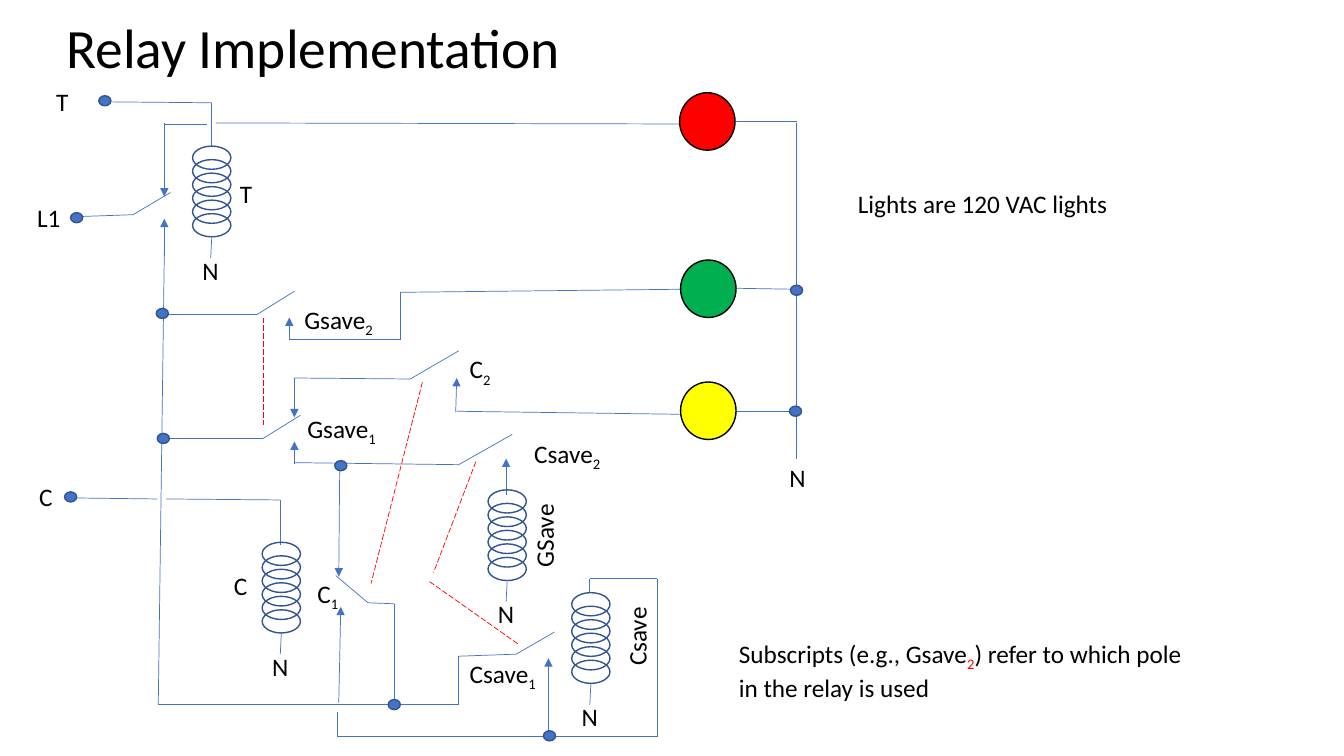
from dataclasses import dataclass

from lxml import etree
from pptx import Presentation
from pptx.dml.color import RGBColor
from pptx.enum.dml import MSO_LINE
from pptx.enum.shapes import MSO_CONNECTOR, MSO_SHAPE
from pptx.enum.text import MSO_ANCHOR, MSO_AUTO_SIZE
from pptx.oxml.ns import qn
from pptx.util import Inches, Pt

STRAIGHT = MSO_CONNECTOR.STRAIGHT
OVAL = MSO_SHAPE.OVAL
LONG_DASH = MSO_LINE.LONG_DASH
MIDDLE = MSO_ANCHOR.MIDDLE
FIT_SHAPE = MSO_AUTO_SIZE.SHAPE_TO_FIT_TEXT


@dataclass(frozen=True)
class Theme:
    font: str = "Calibri"
    title_size: float = 39.6
    label_size: float = 18
    wire_width: float = 0.5
    outline_width: float = 1
    black: str = "000000"
    wire: str = "4472C4"
    outline: str = "325491"
    red: str = "FF0000"
    yellow: str = "FFFF00"
    green: str = "00B050"


theme = Theme()
CELL = Inches(1)  # one column or row of the drawing grid

deck = Presentation()
deck.slide_width = Inches(13.33)
deck.slide_height = Inches(7.5)
page = deck.slides.add_slide(deck.slide_layouts[6])


def add_wire(points, color=theme.wire, arrow=False, dashed=False):
    """Join the points with straight lines; an arrow sits at the last point."""
    for start, end in zip(points, points[1:]):
        ends = [int(value * CELL) for value in (*start, *end)]
        wire = page.shapes.add_connector(STRAIGHT, *ends)
        wire.line.color.rgb = RGBColor.from_string(color)
        wire.line.width = Pt(theme.wire_width)
        if dashed:
            wire.line.dash_style = LONG_DASH
        if arrow and end == points[-1]:
            tail = etree.SubElement(wire.line._get_or_add_ln(), qn("a:tailEnd"))
            tail.set("type", "triangle")
        etree.SubElement(wire._element.spPr, qn("a:effectLst"))


def add_label(column, row, width, spans, height=0.4, size=theme.label_size, wrap=False):
    """Write (text, color, is_subscript) spans in a text box."""
    box = page.shapes.add_textbox(*(int(value * CELL) for value in (column, row, width, height)))
    frame = box.text_frame
    frame.word_wrap = wrap
    para = frame.paragraphs[0]
    for text, color, is_subscript in spans:
        span = para.add_run()
        span.text = text
        span.font.name = theme.font
        span.font.size = Pt(size)
        span.font.color.rgb = RGBColor.from_string(color)
        if is_subscript:
            span._r.get_or_add_rPr().set("baseline", "-25000")
    return box


# Title
title = add_label(0.56, 0.25, 11.5, [("Relay Implementation", theme.black, False)],
                  height=0.51, size=theme.title_size, wrap=True)
title.text_frame.vertical_anchor = MIDDLE
title.text_frame.paragraphs[0].line_spacing = 0.9

# Plain wires
wires = [
    # Input T and the red lamp
    [(1.02, 1.01), (2.1, 1.02), (2.1, 1.45)],
    [(2.14, 1.22), (6.75, 1.23)],
    [(7.29, 1.2), (7.9, 1.2)],
    [(1.63, 1.23), (2.05, 1.23)],
    # Supply L1 and its rail
    [(0.74, 2.15), (1.32, 2.13), (1.69, 1.91)],
    [(1.63, 2.49), (1.57, 6.99), (4.55, 6.99), (4.55, 6.51), (5.12, 6.49), (5.5, 6.27)],
    # Green lamp through Gsave pole 2
    [(1.62, 3.12), (2.55, 3.12), (2.92, 2.89)],
    [(2.87, 3.37), (3.97, 3.37), (3.97, 2.9), (6.75, 2.87)],
    [(7.3, 2.86), (7.9, 2.87)],
    # Yellow lamp through Gsave pole 1 and C pole 2
    [(1.6, 4.35), (2.61, 4.35), (2.98, 4.12)],
    [(2.92, 3.75), (4.07, 3.76), (4.55, 3.48)],
    [(4.53, 4.08), (6.74, 4.11)],
    [(7.3, 4.08), (7.88, 4.08)],
    # Holding circuits of C, GSave and Csave
    [(0.7, 4.94), (1.56, 4.95)],
    [(1.65, 4.95), (2.78, 4.96), (2.78, 5.41)],
    [(2.92, 4.59), (4.55, 4.61), (5.08, 4.31)],
    [(3.33, 5.71), (3.65, 5.98), (3.91, 5.99), (3.91, 6.99)],
    [(5.85, 5.88), (5.85, 5.74), (6.52, 5.74), (6.52, 7.31), (3.35, 7.31), (3.35, 7.06)],
    # Neutral rail
    [(7.9, 1.22), (7.9, 4.55)],
]
for points in wires:
    add_wire(points)

# Contacts: arrows from start to end
contacts = [
    ((1.63, 2.54), (1.63, 2.17)), ((1.63, 1.22), (1.63, 1.95)),
    ((2.87, 3.37), (2.87, 3.15)), ((2.92, 4.6), (2.92, 4.38)),
    ((2.92, 3.75), (2.92, 4.14)), ((4.52, 4.09), (4.53, 3.75)),
    ((3.36, 6.97), (3.38, 6.02)), ((3.37, 4.6), (3.36, 5.72)),
    ((5.44, 7.31), (5.44, 6.53)), ((5.02, 4.91), (5.02, 4.55)),
]
for points in contacts:
    add_wire(points, arrow=True)

# Dashed links between poles of one relay
pole_links = [
    ((2.61, 3.15), (2.61, 4.23)), ((4.72, 4.58), (4.3, 5.68)),
    ((4.26, 5.77), (5.14, 6.39)), ((4.19, 3.79), (3.68, 5.79)),
]
for points in pole_links:
    add_wire(points, color=theme.red, dashed=True)

# Coils: six overlapping turns, a lead and the neutral mark below
COIL_TURNS, TURN_STEP, TURN_WIDTH, TURN_HEIGHT = 6, 0.134, 0.38, 0.23
ovals = []
neutral_marks = [(7.73, 4.54)]
for left, top in [(1.91, 1.45), (2.6, 5.38), (5.67, 5.88), (4.84, 4.86)]:
    for turn in range(COIL_TURNS):
        ovals.append((left, top + turn * TURN_STEP, TURN_WIDTH, TURN_HEIGHT, None, theme.outline))
    middle = left + TURN_WIDTH / 2
    add_wire([(middle, top + 0.91), (middle - 0.01, top + 1.11)])
    neutral_marks.append((left, top + 1.03))

# Lamps
for left, top, color in [(6.74, 0.92, theme.red), (6.75, 3.79, theme.yellow),
                         (6.75, 2.58, theme.green)]:
    ovals.append((left, top, 0.55, 0.57, color, theme.black))

# Junctions and terminals
junctions = [(1.55, 3.06), (1.56, 4.3), (3.85, 6.94), (5.39, 7.25), (3.32, 4.57),
             (7.84, 2.83), (7.83, 4.03), (0.98, 0.95), (0.7, 2.11), (0.64, 4.88)]
for left, top in junctions:
    ovals.append((left, top, 0.12, 0.1, theme.wire, theme.outline))

for left, top, width, height, fill, outline in ovals:
    oval = page.shapes.add_shape(OVAL, *(int(value * CELL) for value in (left, top, width, height)))
    oval.shadow.inherit = False
    if fill:
        oval.fill.solid()
        oval.fill.fore_color.rgb = RGBColor.from_string(fill)
    else:
        oval.fill.background()
    oval.line.color.rgb = RGBColor.from_string(outline)
    oval.line.width = Pt(theme.outline_width)

# Labels: column, row, width, name, subscript, rotation
labels = [
    (0.46, 0.81, 0.56, "T", "", 0),
    (0.27, 1.96, 0.63, "L1", "", 0),
    (2.28, 1.72, 0.32, "T", "", 0),
    (0.29, 4.73, 0.42, "C", "", 0),
    (2.22, 5.61, 0.42, "C", "", 0),
    (2.92, 2.97, 0.9, "Gsave", "2", 0),
    (2.95, 4.05, 0.9, "Gsave", "1", 0),
    (4.56, 3.46, 0.42, "C", "2", 0),
    (3.05, 5.69, 0.42, "C", "1", 0),
    (5.2, 4.3, 0.88, "Csave", "2", 0),
    (4.56, 6.48, 0.88, "Csave", "1", 0),
    (4.98, 5.11, 0.83, "GSave", "", 270),
    (5.92, 6.11, 0.79, "Csave", "", 270),
]
labels += [(left, top, 0.36, "N", "", 0) for left, top in neutral_marks]
for column, row, width, name, subscript, rotation in labels:
    spans = [(name, theme.black, False)]
    if subscript:
        spans.append((subscript, theme.black, True))
    label = add_label(column, row, width, spans, wrap=name in ("L1",))
    label.text_frame.auto_size = FIT_SHAPE
    label.rotation = rotation

# Notes beside the circuit
add_label(8.41, 1.82, 4.25, [("Lights are 120 VAC lights", theme.black, False)], wrap=True)
add_label(7.23, 6.28, 4.65, [
    ("Subscripts (e.g., Gsave", theme.black, False),
    ("2", theme.red, True),
    (") refer to which pole in the relay is used", theme.black, False),
], height=0.71, wrap=True)

deck.save("out.pptx")
